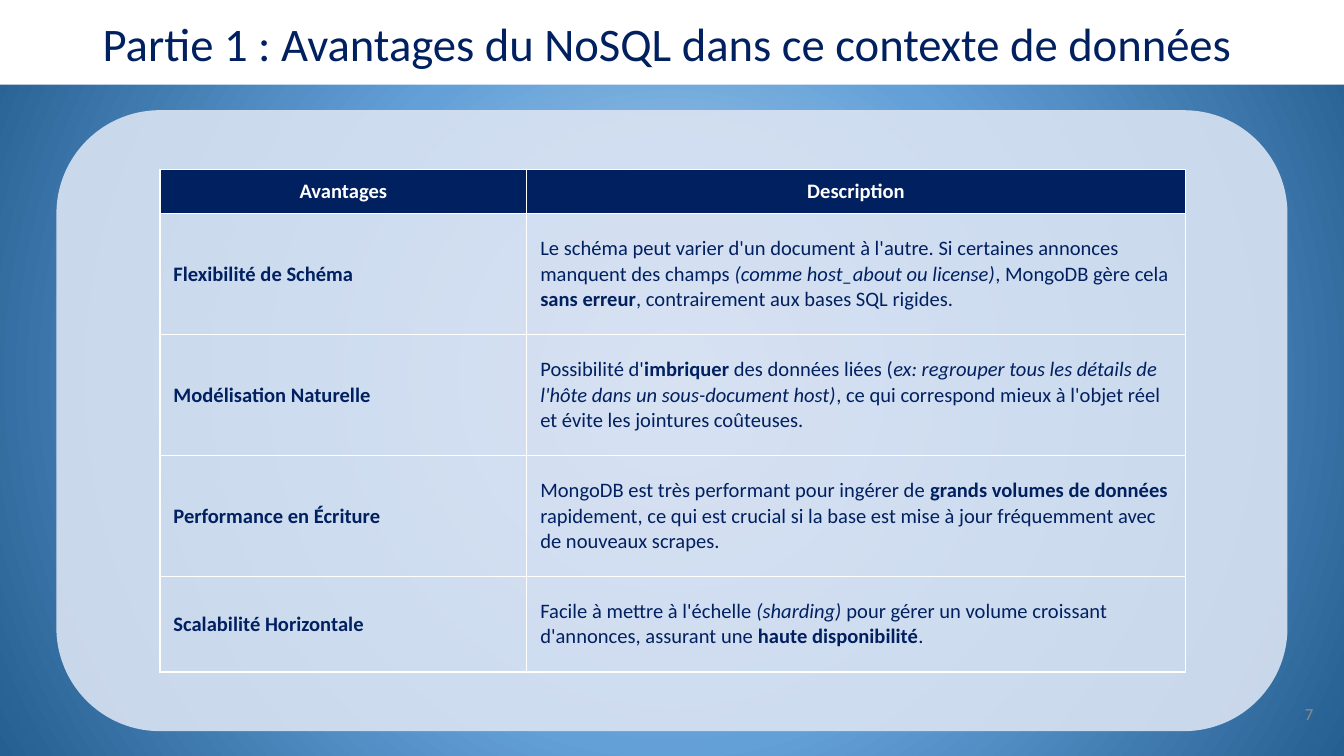
import pptx
import pptx.util
import pptx.oxml
import pptx.oxml.ns
import pptx.dml.color
import pptx.enum.text
import pptx.enum.shapes

Inches = pptx.util.Inches
Pt = pptx.util.Pt
RGB = pptx.dml.color.RGBColor
ALIGN = pptx.enum.text.PP_ALIGN
MIDDLE = pptx.enum.text.MSO_ANCHOR.MIDDLE

NAVY = RGB(0x00, 0x20, 0x60)
WHITE = RGB(0xFF, 0xFF, 0xFF)
PALE = RGB(0xDA, 0xE3, 0xF3)
GREY = RGB(0x8C, 0x8C, 0x8C)
GLOW = [(0, RGB(0xBD, 0xD7, 0xEE)), (48, RGB(0x63, 0xA0, 0xD7)),
        (100, RGB(0x25, 0x5E, 0x91))]
FONT = "Calibri"
SPACE = pptx.oxml.ns.nsdecls("a")

TITLE = "Partie 1 : Avantages du NoSQL dans ce contexte de données "
HEADS = ["Avantages", "Description"]
COLS = [2.73, 4.9]
ROWS = [0.33, 0.9, 0.9, 0.9, 0.71]
GAINS = [
    ("Flexibilité de Schéma", [
        ("Le schéma peut varier d'un document à l'autre. "
         "Si certaines annonces manquent des champs ", ""),
        ("(comme host_about ou license)", "i"),
        (", MongoDB gère cela ", ""),
        ("sans erreur", "b"),
        (", contrairement aux bases SQL rigides.", "")]),
    ("Modélisation Naturelle", [
        ("Possibilité d'", ""),
        ("imbriquer", "b"),
        (" des données liées (", ""),
        ("ex: regrouper tous les détails de l'hôte "
         "dans un sous-document host)", "i"),
        (", ce qui correspond mieux à l'objet réel "
         "et évite les jointures coûteuses.", "")]),
    ("Performance en Écriture", [
        ("MongoDB est très performant pour ingérer de ", ""),
        ("grands volumes de données", "b"),
        (" rapidement, ce qui est crucial si la base est mise à jour "
         "fréquemment avec de nouveaux scrapes.", "")]),
    ("Scalabilité Horizontale", [
        ("Facile à mettre à l'échelle ", ""),
        ("(sharding)", "i"),
        (" pour gérer un volume croissant d'annonces, assurant une ", ""),
        ("haute disponibilité", "b"),
        (".", "")]),
]


def style(run, size, color, marks=""):
    font = run.font
    font.name = FONT
    font.size = Pt(size)
    font.color.rgb = color
    font.bold = "b" in marks
    font.italic = "i" in marks


def inset(frame, side):
    frame.margin_left = frame.margin_right = Inches(side)
    frame.margin_top = frame.margin_bottom = Inches(side)
    frame.vertical_anchor = MIDDLE


def paint_back(slide):
    slide.background.fill.solid()
    back = slide.element.find(".//" + pptx.oxml.ns.qn("p:bgPr"))
    stops = "".join(
        f'<a:gs pos="{pos * 1000}"><a:srgbClr val="{color}"/></a:gs>'
        for pos, color in GLOW)
    back.replace(back[0], pptx.oxml.parse_xml(
        f'<a:gradFill {SPACE} rotWithShape="1"><a:gsLst>{stops}</a:gsLst>'
        '<a:path path="circle"><a:fillToRect l="50000" t="50000" '
        'r="50000" b="50000"/></a:path></a:gradFill>'))


def add_title(slide, left, top, width, height):
    title = slide.shapes.title
    title.left, title.top = Inches(left), Inches(top)
    title.width, title.height = Inches(width), Inches(height)
    title.fill.solid()
    title.fill.fore_color.rgb = WHITE
    frame = title.text_frame
    frame.text = TITLE
    frame.word_wrap = False
    frame.auto_size = pptx.enum.text.MSO_AUTO_SIZE.NONE
    inset(frame, 0.04)
    line = frame.paragraphs[0]
    line.alignment = ALIGN.CENTER
    style(line.runs[0], 25, NAVY)


def edge_cell(cell):
    props = cell._tc.get_or_add_tcPr()
    for side in "LRTB":
        props.append(pptx.oxml.parse_xml(
            f'<a:ln{side} {SPACE} w="{Pt(0.75)}"><a:solidFill>'
            f'<a:srgbClr val="{WHITE}"/></a:solidFill></a:ln{side}>'))


def fill_cell(cell, parts, color, align, fill=None):
    edge_cell(cell)
    if fill is None:
        cell.fill.background()
    else:
        cell.fill.solid()
        cell.fill.fore_color.rgb = fill
    cell.vertical_anchor = MIDDLE
    cell.margin_left = cell.margin_right = Inches(0.1)
    cell.margin_top = cell.margin_bottom = Inches(0.07)
    line = cell.text_frame.paragraphs[0]
    line.alignment = align
    for text, marks in parts:
        run = line.add_run()
        run.text = text
        style(run, 11, color, marks)


def add_grid(slide, left, top):
    table = slide.shapes.add_table(
        len(ROWS), len(COLS), Inches(left), Inches(top),
        Inches(sum(COLS)), Inches(sum(ROWS))).table
    table.horz_banding = False
    for col, width in zip(table.columns, COLS):
        col.width = Inches(width)
    for row, height in zip(table.rows, ROWS):
        row.height = Inches(height)
    for col, head in enumerate(HEADS):
        fill_cell(table.cell(0, col), [(head, "b")], WHITE,
                  ALIGN.CENTER, NAVY)
    for row, (name, parts) in enumerate(GAINS, 1):
        fill_cell(table.cell(row, 0), [(name, "b")], NAVY, ALIGN.LEFT)
        fill_cell(table.cell(row, 1), parts, NAVY, ALIGN.LEFT)


def add_panel(slide, left, top, width, height):
    panel = slide.shapes.add_shape(
        pptx.enum.shapes.MSO_SHAPE.ROUNDED_RECTANGLE,
        Inches(left), Inches(top), Inches(width), Inches(height))
    panel.shadow.inherit = False
    panel.line.fill.background()
    panel.fill.solid()
    panel.fill.fore_color.rgb = PALE
    tint = panel.element.spPr.find(".//" + pptx.oxml.ns.qn("a:srgbClr"))
    tint.append(pptx.oxml.parse_xml(f'<a:alpha {SPACE} val="90000"/>'))
    add_grid(slide, left + 0.77, top + 0.44)


def add_number(slide, left, top, width, height):
    frame = slide.shapes.add_textbox(
        Inches(left), Inches(top), Inches(width), Inches(height)).text_frame
    frame.text = "7"
    frame.word_wrap = True
    inset(frame, 0.1)
    line = frame.paragraphs[0]
    line.alignment = ALIGN.RIGHT
    style(line.runs[0], 9, GREY)


def main():
    deck = pptx.Presentation()
    deck.slide_width, deck.slide_height = Inches(10), Inches(10 * 9 / 16)
    slide = deck.slides.add_slide(deck.slide_layouts[5])
    paint_back(slide)
    add_title(slide, 0, 0, 10, 0.63)
    add_panel(slide, 0.42, 0.82, 9.16, 4.62)
    add_number(slide, 9.27, 5.1, 0.6, 0.43)
    deck.save("out.pptx")


if __name__ == "__main__":
    main()
